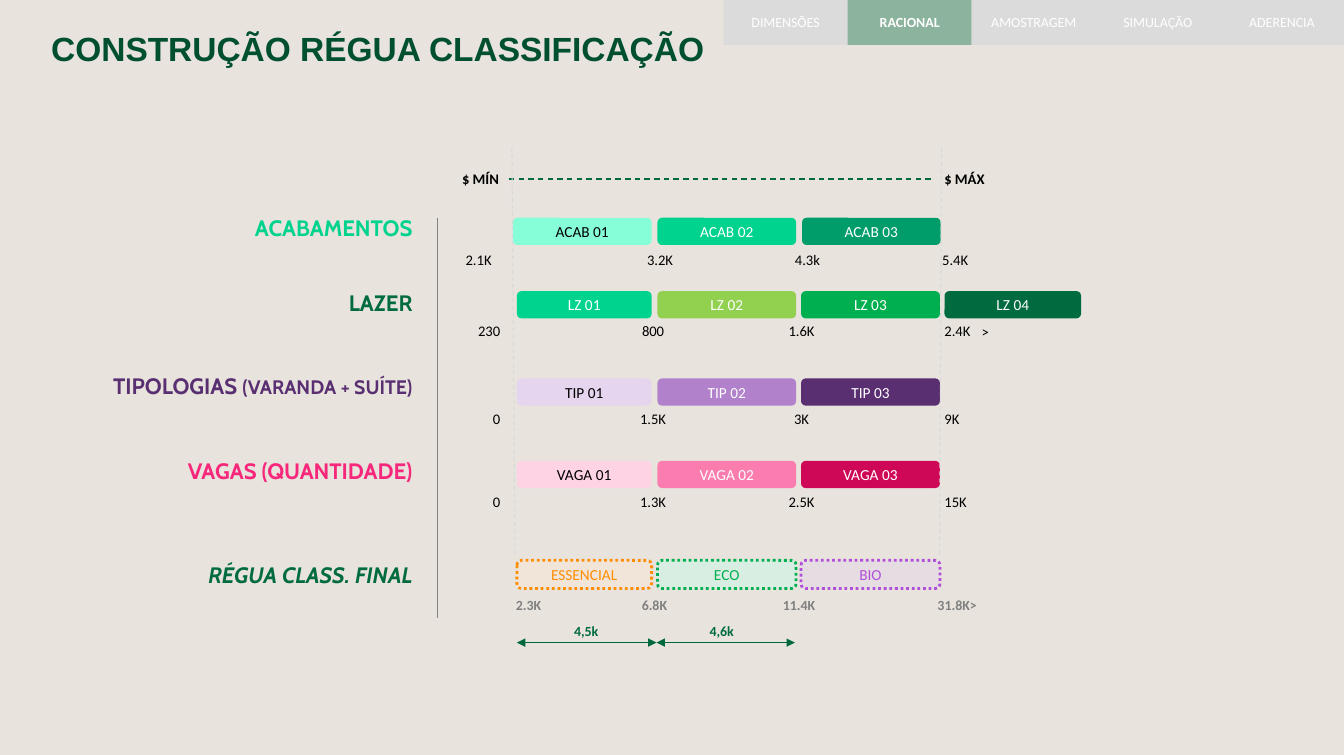
import pptx
import pptx.util
import pptx.dml.color
import pptx.enum.dml
import pptx.enum.shapes
import pptx.enum.text
import pptx.oxml
import pptx.oxml.ns

Pt = pptx.util.Pt
ALIGN = pptx.enum.text.PP_ALIGN
DASH = pptx.enum.dml.MSO_LINE
SHAPE = pptx.enum.shapes.MSO_SHAPE
ANCHOR = pptx.enum.text.MSO_ANCHOR
qn = pptx.oxml.ns.qn

COLORS = {
    "background": "E8E3DD", "title": "00502F", "green": "006B3F", "arrow": "00693E",
    "mint": "00D38D", "pale mint": "86FFD8", "sea": "009D6A", "lime": "92D050",
    "leaf": "00B050", "purple": "592F71", "lilac": "B181CB", "pale lilac": "E6D5EE",
    "pink": "F7287C", "rose": "FB7DAF", "pale rose": "FED3E4", "crimson": "CF0757",
    "orange": "FF8D03", "pale orange": "FFE8D3", "pale aqua": "C3FFEB",
    "violet": "B14FDA", "pale violet": "E5D5EE", "tab": "DBDBDB", "guide": "D9D9D9",
    "grey": "808080", "black": "000000", "white": "FFFFFF",
}

# Label left, label top, label spans, colour, bar top, bars, scale top, scale values
RULES = [
    (80.6, 150.5, [("ACABAMENTOS", 16)], "mint", 156.2,
     [("ACAB 01", "pale mint", "black"), ("ACAB 02", "mint", "white"),
      ("ACAB 03", "sea", "white")],
     176.4, ["2.1K", "3.2K", "4.3k", "5.4K"]),
    (196.6, 204.5, [("LAZER", 16)], "green", 208.8,
     [("LZ 01", "mint", "white"), ("LZ 02", "lime", "white"),
      ("LZ 03", "leaf", "white"), ("LZ 04", "green", "white")],
     227.4, ["230", "800", "1.6K", "2.4K"]),
    (18.7, 264.2, [("TIPOLOGIAS ", 16), ("(VARANDA + SUÍTE)", 14)], "purple", 271.4,
     [("TIP 01", "pale lilac", "black"), ("TIP 02", "lilac", "white"),
      ("TIP 03", "purple", "white")],
     290.2, ["0", "1.5K", "3K", "9K"]),
    (21.6, 324.7, [("VAGAS (QUANTIDADE)", 16)], "pink", 330.5,
     [("VAGA 01", "pale rose", "black"), ("VAGA 02", "rose", "white"),
      ("VAGA 03", "crimson", "white")],
     349.9, ["0", "1.3K", "2.5K", "15K"]),
]
FINAL_BARS = [("ESSENCIAL", "pale orange", "orange"), ("ECO", "pale aqua", "leaf"),
              ("BIO", "pale violet", "violet")]
BAR_COLUMNS = [(370.8, 96.6), (471.6, 99.4), (574.6, 99.6), (677.5, 97.9)]
ACAB_COLUMNS = [(367.9, 99.4), (471.6, 99.4), (575.3, 99.4)]
SCALE_COLUMNS = [(275.8, ALIGN.RIGHT), (423.4, ALIGN.CENTER),
                 (529.9, ALIGN.CENTER), (670.3, ALIGN.LEFT)]
ACAB_SCALE = [(326.9, ALIGN.LEFT), (428.4, ALIGN.CENTER),
              (534.2, ALIGN.CENTER), (640.1, ALIGN.CENTER)]
FINAL_SCALE = [("2.3K", 319, ALIGN.RIGHT), ("6.8K", 431.3, ALIGN.CENTER),
               ("11.4K", 535, ALIGN.CENTER), ("31.8K>", 631.4, ALIGN.RIGHT)]
TABS = ["DIMENSÕES", "RACIONAL", "AMOSTRAGEM", "SIMULAÇÃO", "ADERENCIA"]
MARGINLESS = {"margin_left": 0, "margin_right": 0, "margin_bottom": 0,
              "margin_top": Pt(2.9)}


def color(name):
    return pptx.dml.color.RGBColor.from_string(COLORS[name])


class RulerSlide:
    def __init__(self, deck):
        self.page = deck.slides.add_slide(deck.slide_layouts[5])
        self.page.background.fill.solid()
        self.page.background.fill.fore_color.rgb = color("background")

    def fill_text(self, box, spans, tint, align, frame=None, before=0, **font):
        """Fill a box with one paragraph of (text, size) spans."""
        for key, value in {"word_wrap": True, **(frame or {})}.items():
            setattr(box.text_frame, key, value)
        para = box.text_frame.paragraphs[0]
        para.alignment = align
        para.space_before = Pt(before)
        for text, size in spans:
            span = para.add_run()
            span.text = text
            style = {"name": "Calibri", "bold": False, **font, "size": Pt(size)}
            for key, value in style.items():
                setattr(span.font, key, value)
            span.font.color.rgb = color(tint)

    def title(self, text, left, top, width, height):
        box = self.page.shapes.title
        place = {"left": left, "top": top, "width": width, "height": height}
        for key, value in place.items():
            setattr(box, key, Pt(value))
        frame = {**MARGINLESS, "vertical_anchor": ANCHOR.TOP,
                 "auto_size": pptx.enum.text.MSO_AUTO_SIZE.SHAPE_TO_FIT_TEXT}
        self.fill_text(box, [(text, 24)], "title", ALIGN.LEFT, frame, 3,
                       name="Arial", bold=True)

    def text(self, spans, left, top, width, height, tint, align, frame=None, **font):
        box = self.page.shapes.add_textbox(Pt(left), Pt(top), Pt(width), Pt(height))
        grow = {"auto_size": pptx.enum.text.MSO_AUTO_SIZE.SHAPE_TO_FIT_TEXT}
        self.fill_text(box, spans, tint, align, {**grow, **(frame or {})}, **font)
        return box

    def label(self, spans, left, top, tint, **font):
        self.text(spans, left, top, 295.9 - left, 22.3, tint, ALIGN.RIGHT,
                  MARGINLESS, before=3, name="Cabin", bold=True, **font)

    def bar(self, text, left, top, width, height, fill, tint, size=11,
            kind=SHAPE.ROUNDED_RECTANGLE, opacity=None, outline=None, **font):
        box = self.page.shapes.add_shape(kind, Pt(left), Pt(top), Pt(width), Pt(height))
        box.shadow.inherit = False
        box.fill.solid()
        box.fill.fore_color.rgb = color(fill)
        if opacity:
            tone = box.element.spPr.find(qn("a:solidFill")).find(qn("a:srgbClr"))
            names = pptx.oxml.ns.nsdecls("a")
            tone.append(pptx.oxml.parse_xml(f'<a:alpha {names} val="{opacity * 1000}"/>'))
        if outline:
            box.line.color.rgb = color(outline)
            box.line.width = Pt(2)
            box.line.dash_style = DASH.ROUND_DOT
        else:
            box.line.fill.background()
        self.fill_text(box, [(text, size)], tint, ALIGN.CENTER,
                       {"vertical_anchor": ANCHOR.MIDDLE}, **font)

    def line(self, x1, y1, x2, y2, tint, width=0.75, dash=None, arrows=False):
        link = self.page.shapes.add_connector(
            pptx.enum.shapes.MSO_CONNECTOR.STRAIGHT, Pt(x1), Pt(y1), Pt(x2), Pt(y2))
        link.line.color.rgb = color(tint)
        link.line.width = Pt(width)
        if dash:
            link.line.dash_style = dash
        names = pptx.oxml.ns.nsdecls("a")
        for end in ("headEnd", "tailEnd") if arrows else ():
            link.element.spPr.find(qn("a:ln")).append(
                pptx.oxml.parse_xml(f'<a:{end} {names} type="triangle"/>'))
        link.element.spPr.append(pptx.oxml.parse_xml(f"<a:effectLst {names}/>"))
        return link


def main():
    deck = pptx.Presentation()
    deck.slide_width, deck.slide_height = Pt(964), Pt(541.4)
    slide = RulerSlide(deck)
    slide.title("CONSTRUÇÃO RÉGUA CLASSIFICAÇÃO", 36.7, 17.3, 560, 32.4)

    # Rulers: label, bars and scale of each criterion
    for row, rule in enumerate(RULES):
        left, top, spans, tint, bar_top, bars, scale_top, values = rule
        slide.label(spans, left, top, tint)
        columns = BAR_COLUMNS if row else ACAB_COLUMNS
        for (text, fill, ink), (x, width) in zip(bars, columns):
            slide.bar(text, x, bar_top, width, 19.5, fill, ink)
        columns = SCALE_COLUMNS if row else ACAB_SCALE
        for value, (x, align) in zip(values, columns):
            slide.text([(value, 10.5)], x, scale_top, 90, 20.9, "black", align)
    slide.text([(">", 10.5)], 697, 228.2, 90, 20.9, "black", ALIGN.LEFT)

    # Price range and guides
    low = slide.text([("$ MÍN", 10.5)], 300.2, 118, 64.8, 20.9, "black",
                     ALIGN.RIGHT, bold=True)
    high = slide.text([("$ MÁX", 10.5)], 670.3, 118, 48.2, 20.9, "black",
                      ALIGN.LEFT, {"word_wrap": False}, bold=True)
    span = slide.line(365, 128.4, 670.3, 128.4, "arrow", 1, DASH.DASH)
    span.begin_connect(low, 3)
    span.end_connect(high, 1)
    for start, end in ((367.2, 369.4), (675.4, 673.9)):
        slide.line(start, 105.8, end, 398.9, "guide", dash=DASH.DASH)
    slide.line(313.9, 156.2, 313.9, 443.5, "grey")

    # Final ruler
    slide.label([("RÉGUA CLASS. FINAL", 16)], 11.5, 399.6, "green", italic=True)
    for (text, fill, ink), (x, width) in zip(FINAL_BARS, BAR_COLUMNS):
        slide.bar(text, x, 401.8, width, 20.2, fill, ink, opacity=40, outline=ink)
    for value, x, align in FINAL_SCALE:
        slide.text([(value, 10)], x, 424.1, 76.3, 20.2, "grey", align, bold=True)

    # Step widths
    for value, x, start, end in (("4,5k", 397.4, 370.8, 470.9),
                                 ("4,6k", 494.6, 470.9, 570.2)):
        slide.line(start, 460.8, end, 460.8, "arrow", arrows=True)
        slide.text([(value, 10)], x, 442.8, 38.9, 19.4, "green", ALIGN.RIGHT, bold=True)

    # Navigation tabs
    for index, name in enumerate(TABS):
        active = name == "RACIONAL"
        slide.bar(name, 519 + 89 * index, 0, 89, 32.2, "green" if active else "tab",
                  "white", 10, SHAPE.RECTANGLE, 40 if active else None, bold=active)

    deck.save("out.pptx")


if __name__ == "__main__":
    main()
